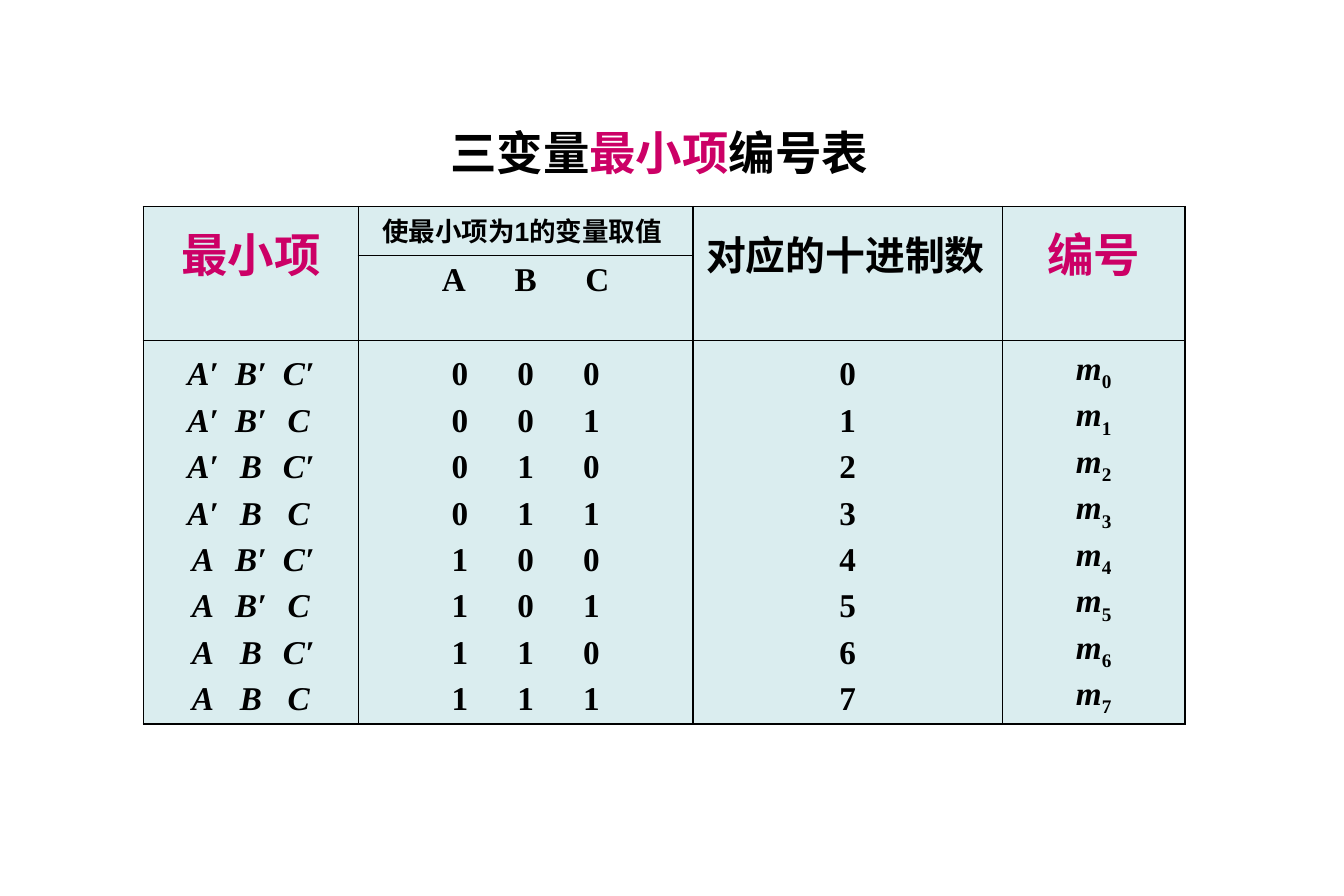
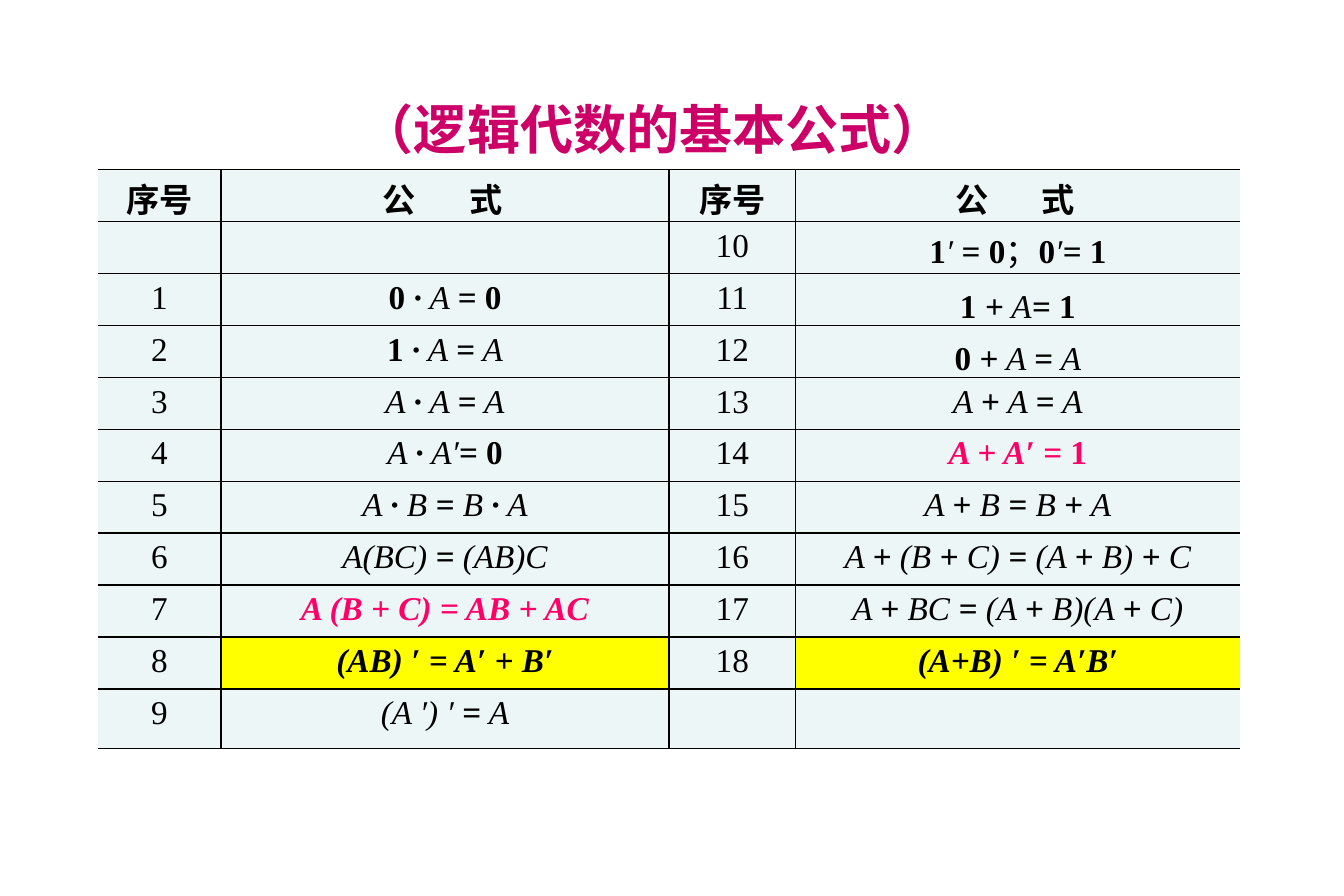
from dataclasses import dataclass
from itertools import groupby, product
from typing import Optional

from lxml.etree import SubElement
from pptx import Presentation
from pptx.dml.color import RGBColor
from pptx.enum.text import MSO_ANCHOR, MSO_AUTO_SIZE, PP_ALIGN
from pptx.oxml.ns import qn
from pptx.util import Inches, Pt


@dataclass(frozen=True)
class Theme:
    ink: str = "000000"
    accent: str = "CC0066"
    highlight: str = "FF0066"
    minterm_fill: str = "DAEDEF"
    formula_fill: str = "EDF6F7"
    yellow: str = "FFFF00"
    title_font: str = "Calibri"
    heading_font: str = "Arial"
    math_font: str = "Times New Roman"
    cjk_font: str = "Noto Sans CJK SC"
    large: int = 28
    medium: int = 24
    small: int = 16
    text: int = 20
    border: int = 1


THEME = Theme()
SLIDE_WIDTH, SLIDE_HEIGHT = Inches(11.25), Inches(7.5)
GRID_COLUMNS = 45  # square grid units: 45 across, 30 down
TITLE_ONLY = 5


def grid(units: float) -> int:
    return round(SLIDE_WIDTH * units / GRID_COLUMNS)


@dataclass(frozen=True)
class Style:
    size: int = THEME.text
    font: str = THEME.math_font
    color: str = THEME.ink
    bold: bool = True
    italic: bool = False
    subscript: bool = False


@dataclass(frozen=True)
class Piece:
    text: str
    style: Style


@dataclass(frozen=True)
class Tabs:
    """Evenly spaced centred tab stops around a middle position."""
    center: float
    step: float


@dataclass(frozen=True)
class Formula:
    number: str = ""
    text: str = ""
    color: Optional[str] = None
    fill: str = THEME.formula_fill
    low: bool = False


@dataclass(frozen=True)
class TitleBox:
    left: float
    top: float
    width: float
    height: float


MATH = Style()
VARIABLE = Style(italic=True)
NUMBER = Style(bold=False)
HEADING = Style(font=THEME.heading_font)

MINTERM_COLUMNS = (7.2, 11.2, 10.36, 6.12)
MINTERM_ROWS = (1.63, 2.82, 12.84)
FORMULA_COLUMNS = (4.12, 15, 4.24, 14.88)
FORMULA_ROWS = (1.74,) * 10 + (2,)

LEFT_FORMULAS = (
    Formula(),
    Formula("1", "0 · A = 0"),
    Formula("2", "1 · A = A"),
    Formula("3", "A · A = A"),
    Formula("4", "A · A′= 0"),
    Formula("5", "A · B = B · A"),
    Formula("6", "A(BC) = (AB)C"),
    Formula("7", "A (B + C) = AB + AC", THEME.highlight),
    Formula("8", "(AB) ′ = A′ + B′", THEME.ink, THEME.yellow),
    Formula("9", "(A ′) ′ = A"),
)
RIGHT_FORMULAS = (
    Formula("10", "1′ = 0；0′= 1", low=True),
    Formula("11", "1 + A= 1", low=True),
    Formula("12", "0 + A = A", low=True),
    Formula("13", "A + A = A"),
    Formula("14", "A + A′ = 1", THEME.highlight),
    Formula("15", "A + B = B + A"),
    Formula("16", "A + (B + C) = (A + B) + C"),
    Formula("17", "A + BC = (A + B)(A + C)"),
    Formula("18", "(A+B) ′ = A′B′", THEME.ink, THEME.yellow),
    Formula(),
)


# Text
def write(paragraph, pieces: list[Piece], align=PP_ALIGN.CENTER,
          line: Optional[int] = None, tabs: Optional[Tabs] = None) -> None:
    paragraph.alignment = PP_ALIGN.LEFT if tabs else align
    if line:
        paragraph.line_spacing = Pt(line)
    for piece in pieces:
        run, style = paragraph.add_run(), piece.style
        run.text = piece.text
        run.font.size, run.font.name = Pt(style.size), style.font
        run.font.bold, run.font.italic = style.bold, style.italic
        run.font.color.rgb = RGBColor.from_string(style.color)
        if style.subscript:
            run._r.get_or_add_rPr().set("baseline", "-25000")
    if tabs:
        count = sum(piece.text.count("\t") for piece in pieces)
        stops = SubElement(paragraph._p.get_or_add_pPr(), qn("a:tabLst"))
        for index in range(count):
            position = tabs.center + (index - (count - 1) / 2) * tabs.step
            SubElement(stops, qn("a:tab"), pos=str(grid(position)), algn="ctr")


def tabbed(items) -> str:
    return "".join(f"\t{item}" for item in items)


def formula_pieces(formula: Formula) -> list[Piece]:
    """Digits are upright and bold, operators bold italic, the rest italic."""
    strong = formula.color is not None
    color = formula.color or THEME.ink

    def style_of(character: str) -> Style:
        if character == "；":
            return Style(font=THEME.cjk_font, bold=False)
        if character.isdigit():
            return Style(color=color)
        return Style(color=color, bold=strong or character in "+·=", italic=True)

    return [Piece("".join(characters), style)
            for style, characters in groupby(formula.text, style_of)]


# Slide parts
def add_titled_slide(presentation, box: TitleBox, size: int, parts: list[tuple[str, str]]):
    slide = presentation.slides.add_slide(presentation.slide_layouts[TITLE_ONLY])
    title = slide.shapes.title
    title.left, title.top = grid(box.left), grid(box.top)
    title.width, title.height = grid(box.width), grid(box.height)
    frame = title.text_frame
    frame.auto_size, frame.word_wrap = MSO_AUTO_SIZE.NONE, False
    frame.vertical_anchor = MSO_ANCHOR.MIDDLE
    write(frame.paragraphs[0],
          [Piece(text, Style(size, THEME.title_font, color)) for text, color in parts],
          PP_ALIGN.LEFT)
    return slide


def add_border(cell, side: str, visible: bool) -> None:
    line = SubElement(cell._tc.get_or_add_tcPr(), qn(f"a:ln{side}"),
                      w=str(Pt(THEME.border)))
    if visible:
        fill = SubElement(line, qn("a:solidFill"))
        SubElement(fill, qn("a:srgbClr"), val=THEME.ink)
    else:
        SubElement(line, qn("a:noFill"))


def add_grid_table(slide, left: float, top: float, columns, rows, fill: str,
                   open_sides: bool = False):
    frame = slide.shapes.add_table(len(rows), len(columns), grid(left), grid(top),
                                   grid(sum(columns)), grid(sum(rows)))
    table = frame.table
    table.first_row = table.horz_banding = False
    for column, width in zip(table.columns, columns):
        column.width = grid(width)
    for row, height in zip(table.rows, rows):
        row.height = grid(height)
    for row, column in product(range(len(rows)), range(len(columns))):
        cell = table.cell(row, column)
        cell.margin_left = cell.margin_right = Inches(0.11)
        cell.margin_top = cell.margin_bottom = Inches(0.05)
        add_border(cell, "L", not (open_sides and column == 0))
        add_border(cell, "R", not (open_sides and column == len(columns) - 1))
        add_border(cell, "T", True)
        add_border(cell, "B", True)
        set_fill(cell, fill)
    return table


def set_fill(cell, color: str) -> None:
    cell.fill.solid()
    cell.fill.fore_color.rgb = RGBColor.from_string(color)


def lower(cell) -> None:
    """Seat the text on the bottom edge of its cell."""
    cell.margin_top, cell.margin_bottom = Inches(0.03), 0
    cell.vertical_anchor = MSO_ANCHOR.BOTTOM


def first_paragraph(cell):
    return cell.text_frame.paragraphs[0]


# Slides
def build_minterm_slide(presentation) -> None:
    slide = add_titled_slide(presentation, TitleBox(14.68, 3.96, 15.76, 2.28), THEME.large,
                             [("三变量", THEME.ink), ("最小项", THEME.accent),
                              ("编号表", THEME.ink)])
    table = add_grid_table(slide, 4.8, 6.92, MINTERM_COLUMNS, MINTERM_ROWS,
                           THEME.minterm_fill)

    # Headings that span both header rows
    accent = Style(THEME.large, THEME.heading_font, THEME.accent)
    decimal = Style(THEME.medium, THEME.heading_font)
    for column, text, style, line, align in (
            (0, "最小项", accent, 44, PP_ALIGN.CENTER),
            (2, "对应的十进制数", decimal, 42, PP_ALIGN.LEFT),
            (3, "编号", accent, 44, PP_ALIGN.CENTER)):
        table.cell(0, column).merge(table.cell(1, column))
        write(first_paragraph(table.cell(0, column)), [Piece(text, style)], align, line)

    # Split heading of the variable values
    values = table.cell(0, 1)
    values.margin_left, values.margin_right = Inches(0.2), Inches(0.05)
    write(first_paragraph(values),
          [Piece("使最小项为1的变量取值", Style(THEME.small, THEME.heading_font))],
          PP_ALIGN.LEFT, 22)
    write(first_paragraph(table.cell(1, 1)), [Piece(tabbed("ABC"), MATH)],
          tabs=Tabs(5.16, 2.4))

    # One line per minterm
    for index, bits in enumerate(product((0, 1), repeat=3)):
        names = [name + ("" if bit else "′") for name, bit in zip("ABC", bits)]
        lines = (
            ([Piece(tabbed(names), VARIABLE)], Tabs(3.16, 1.6)),
            ([Piece(tabbed(bits), MATH)], Tabs(5.16, 2.2)),
            ([Piece(str(index), MATH)], None),
            ([Piece("m", VARIABLE), Piece(str(index), Style(subscript=True))], None),
        )
        for column, (pieces, tabs) in enumerate(lines):
            frame = table.cell(2, column).text_frame
            paragraph = frame.add_paragraph() if index else frame.paragraphs[0]
            write(paragraph, pieces, line=28, tabs=tabs)


def build_formula_slide(presentation) -> None:
    slide = add_titled_slide(presentation, TitleBox(11.68, 3, 21.76, 2.56), 32,
                             [("（逻辑代数的基本公式）", THEME.accent)])
    table = add_grid_table(slide, 3.28, 5.68, FORMULA_COLUMNS, FORMULA_ROWS,
                           THEME.formula_fill, open_sides=True)
    for start, formulas in ((0, LEFT_FORMULAS), (2, RIGHT_FORMULAS)):
        # Headings
        middle = FORMULA_COLUMNS[start + 1] / 2 - 0.52
        number_heading, formula_heading = table.cell(0, start), table.cell(0, start + 1)
        write(first_paragraph(number_heading), [Piece("序号", HEADING)])
        write(first_paragraph(formula_heading), [Piece(tabbed("公式"), HEADING)],
              tabs=Tabs(middle, 2.88))
        lower(number_heading)
        lower(formula_heading)

        # Numbered formulas
        for row, formula in enumerate(formulas, start=1):
            if not formula.number:
                continue
            cell = table.cell(row, start + 1)
            write(first_paragraph(table.cell(row, start)), [Piece(formula.number, NUMBER)])
            write(first_paragraph(cell), formula_pieces(formula))
            set_fill(cell, formula.fill)
            if formula.low:
                lower(cell)


def main() -> None:
    presentation = Presentation()
    presentation.slide_width, presentation.slide_height = SLIDE_WIDTH, SLIDE_HEIGHT
    build_minterm_slide(presentation)
    build_formula_slide(presentation)
    presentation.save("out.pptx")


if __name__ == "__main__":
    main()
